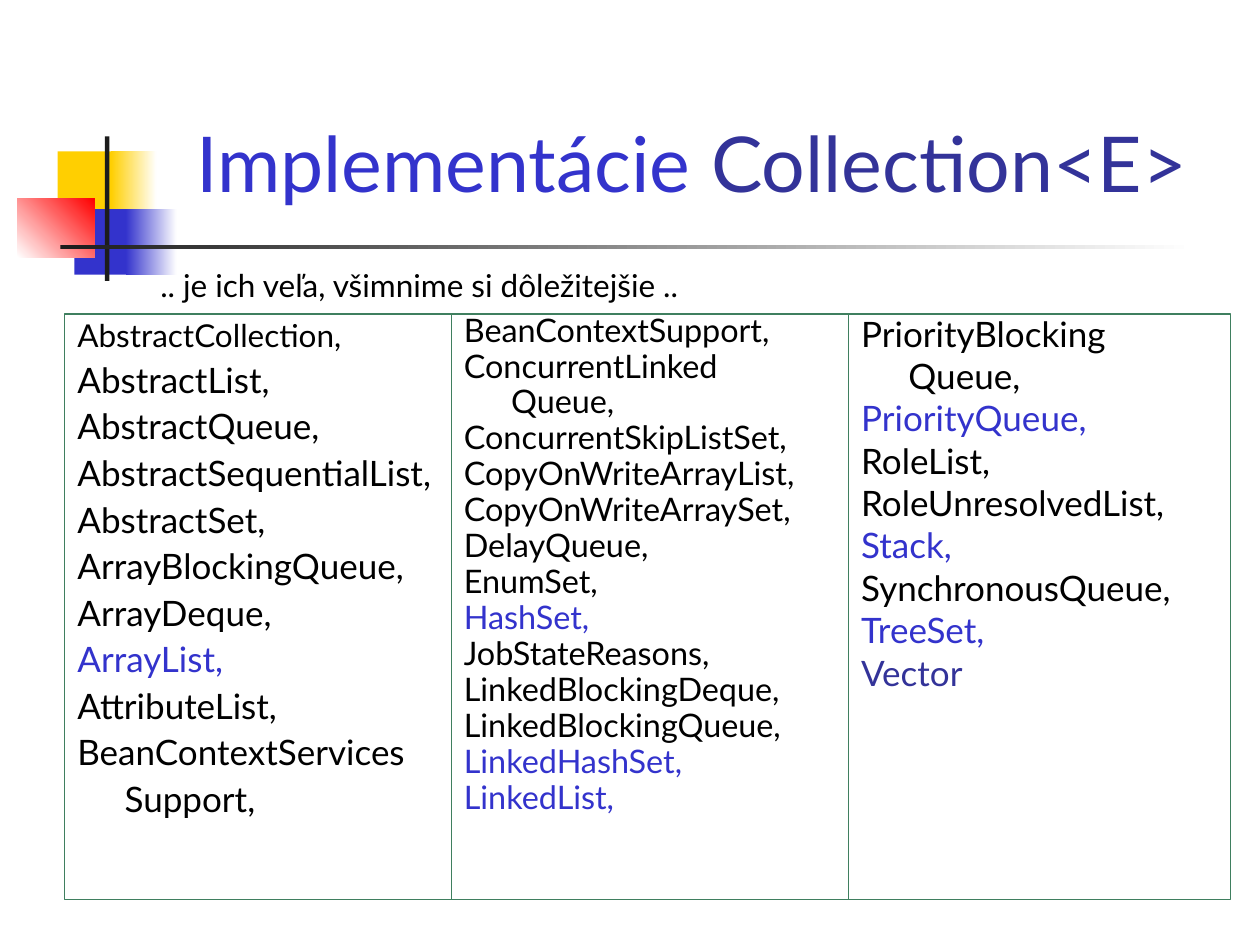
from lxml import etree
from pptx import Presentation
from pptx.dml.color import RGBColor
from pptx.enum.shapes import MSO_SHAPE
from pptx.enum.text import MSO_ANCHOR, MSO_AUTO_SIZE, PP_ALIGN
from pptx.oxml.ns import qn
from pptx.util import Pt

RECTANGLE = MSO_SHAPE.RECTANGLE
TOP, BOTTOM = MSO_ANCHOR.TOP, MSO_ANCHOR.BOTTOM
LEFT = PP_ALIGN.LEFT
NO_AUTOFIT = MSO_AUTO_SIZE.NONE

FONT = "Lato"
BLACK, BLUE, NAVY = "000000", "3333CC", "333399"
YELLOW, RED, WHITE, CHARCOAL, GREEN = "FFCF01", "FF0000", "FFFFFF", "1C1C1C", "3F7F5F"

# Content
TITLE = [("Implementácie ", BLUE), ("Collection<E>", NAVY)]
CAPTION = ".. je ich veľa, všimnime si dôležitejšie .."
COLUMNS = [
    {"width": 221, "size": 20, "first_size": 18, "line_spacing": 0.9, "names": [
        "AbstractCollection,", "AbstractList,", "AbstractQueue,",
        "AbstractSequentialList,", "AbstractSet,", "ArrayBlockingQueue,",
        "ArrayDeque,", "ArrayList,", "AttributeList,",
        "BeanContextServices", "\tSupport,"]},
    {"width": 227, "size": 18.5, "first_size": 18.5, "line_spacing": 0.7, "names": [
        "BeanContextSupport,", "ConcurrentLinked", "\tQueue,",
        "ConcurrentSkipListSet,", "CopyOnWriteArrayList,", "CopyOnWriteArraySet,",
        "DelayQueue,", "EnumSet,", "HashSet,", "JobStateReasons,",
        "LinkedBlockingDeque,", "LinkedBlockingQueue,", "LinkedHashSet,",
        "LinkedList,"]},
    {"width": 218, "size": 20, "first_size": 20, "line_spacing": 0.8, "names": [
        "PriorityBlocking", "\tQueue,", "PriorityQueue,", "RoleList,",
        "RoleUnresolvedList,", "Stack,", "SynchronousQueue,", "TreeSet,", "Vector"]},
]
HIGHLIGHTS = {"Vector": NAVY} | dict.fromkeys(
    ["ArrayList,", "HashSet,", "LinkedHashSet,", "LinkedList,",
     "PriorityQueue,", "Stack,", "TreeSet,"], BLUE)

# Ornament: left, top, width, height, colours (two make a gradient), angle
ORNAMENT = [
    (33, 86.5, 34.5, 37.5, [YELLOW], 0),
    (63.5, 86.5, 26, 37.5, [YELLOW, WHITE], 0),
    (42.5, 119.5, 33, 37.5, [BLUE], 0),
    (72, 119.5, 29, 37.5, [BLUE, WHITE], 0),
    (10, 113.5, 44, 33.5, [WHITE, RED], 45),
    (60, 78, 2.5, 82.5, [CHARCOAL], 0),
    (34.5, 140, 648, 2.5, [CHARCOAL, WHITE], 0),
]
COLUMNS_LEFT, COLUMNS_TOP, COLUMNS_HEIGHT = 37, 179.5, 334.5
HANGING_INDENT = 27


def rgb(value):
    return RGBColor.from_string(value)


def place(shape, left, top, width, height):
    shape.left, shape.top = Pt(left), Pt(top)
    shape.width, shape.height = Pt(width), Pt(height)


def prepare_frame(shape, anchor=TOP):
    frame = shape.text_frame
    frame.word_wrap = True
    frame.auto_size = NO_AUTOFIT
    frame.vertical_anchor = anchor
    frame.margin_left = frame.margin_right = Pt(7.2)
    frame.margin_top = frame.margin_bottom = Pt(3.6)
    return frame


def write(paragraph, text, size=20, color=BLACK, line_spacing=1.0, before=0, hanging=None):
    if hanging is not None:
        properties = paragraph._p.get_or_add_pPr()
        properties.set("marL", str(Pt(hanging)))
        properties.set("indent", str(-Pt(hanging)))
        if properties.find(qn("a:buNone")) is None:
            etree.SubElement(properties, qn("a:buNone"))
    paragraph.alignment = LEFT
    paragraph.line_spacing = line_spacing
    paragraph.space_before = Pt(before)
    run = paragraph.add_run()
    run.text = text
    run.font.name = FONT
    run.font.size = Pt(size)
    run.font.color.rgb = rgb(color)


def add_ornament(slide, left, top, width, height, colors, angle):
    shape = slide.shapes.add_shape(RECTANGLE, Pt(left), Pt(top), Pt(width), Pt(height))
    shape.shadow.inherit = False
    shape.line.fill.background()
    if len(colors) == 1:
        shape.fill.solid()
        shape.fill.fore_color.rgb = rgb(colors[0])
        return
    shape.fill.gradient()
    shape.fill.gradient_angle = angle
    for stop, color in zip(shape.fill.gradient_stops, colors):
        stop.color.rgb = rgb(color)


def fill_column(shape, column):
    shape.fill.background()
    shape.line.color.rgb = rgb(GREEN)
    shape.line.width = Pt(0.75)
    frame = prepare_frame(shape)
    for index, name in enumerate(column["names"]):
        paragraph = frame.add_paragraph() if index else frame.paragraphs[0]
        write(paragraph, name, size=column["size" if index else "first_size"],
              color=HIGHLIGHTS.get(name, BLACK), line_spacing=column["line_spacing"],
              before=5 if index else 0, hanging=HANGING_INDENT)


def main():
    presentation = Presentation()
    presentation.slide_width, presentation.slide_height = Pt(720), Pt(540)
    slide = presentation.slides.add_slide(presentation.slide_layouts[1])
    for part in ORNAMENT:
        add_ornament(slide, *part)

    # Title
    title = slide.shapes.title
    place(title, 105, 36, 595.5, 86.5)
    title_frame = prepare_frame(title, BOTTOM)
    for text, color in TITLE:
        write(title_frame.paragraphs[0], text, size=44, color=color)

    # Three adjoining columns, the first in the body placeholder
    left = COLUMNS_LEFT
    for index, column in enumerate(COLUMNS):
        if index == 0:
            shape = slide.placeholders[1]
        else:
            shape = slide.shapes.add_shape(RECTANGLE, 0, 0, 0, 0)
            shape.shadow.inherit = False
        place(shape, left, COLUMNS_TOP, column["width"], COLUMNS_HEIGHT)
        fill_column(shape, column)
        left += column["width"]

    # Caption above the columns
    caption = slide.shapes.add_textbox(Pt(84.5), Pt(151), Pt(334), Pt(26.5))
    write(prepare_frame(caption).paragraphs[0], CAPTION, size=18, line_spacing=0.9)

    presentation.save("out.pptx")


if __name__ == "__main__":
    main()
